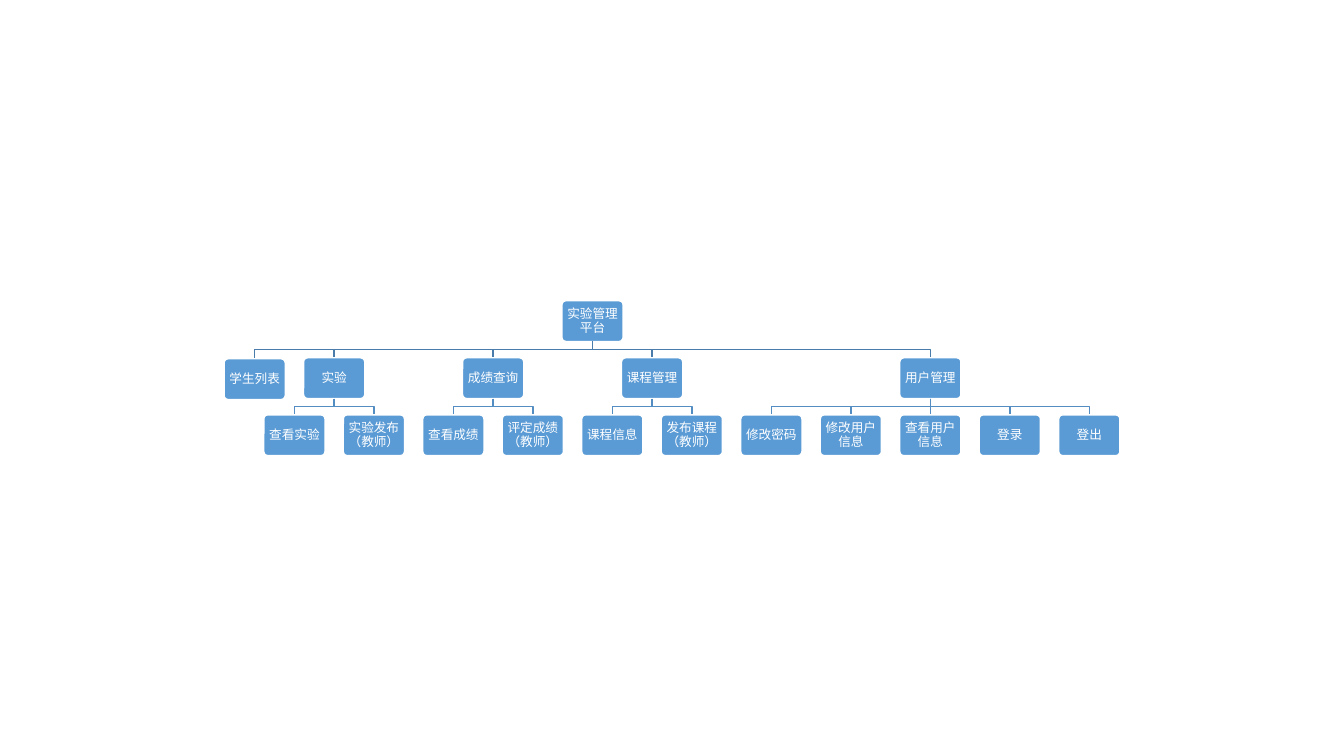
from lxml.etree import SubElement
from pptx import Presentation
from pptx.dml.color import RGBColor
from pptx.enum.shapes import MSO_CONNECTOR as Connector, MSO_SHAPE as Preset
from pptx.enum.text import MSO_ANCHOR as Anchor, PP_ALIGN as Align
from pptx.oxml.ns import qn
from pptx.util import Pt

PLATFORM = "实验管理平台"
BRANCHES = [
    ("学生列表", []),
    ("实验", ["查看实验", "实验发布（教师）"]),
    ("成绩查询", ["查看成绩", "评定成绩（教师）"]),
    ("课程管理", ["课程信息", "发布课程（教师）"]),
    ("用户管理", ["修改密码", "修改用户信息", "查看用户信息", "登录", "登出"]),
]

THEME = {
    "font": "Calibri",
    "size": Pt(9),
    "text": RGBColor.from_string("FFFFFF"),
    "box": RGBColor.from_string("5B9BD5"),
    "border": RGBColor.from_string("FFFFFF"),
    "branch_line": RGBColor.from_string("497CAB"),
    "leaf_line": RGBColor.from_string("538DC1"),
    "line_width": Pt(1),
}
SLIDE_WIDTH, SLIDE_HEIGHT = 960, 540
BOX_WIDTH, BOX_HEIGHT = 43.68, 29.1
SLOT_PITCH, LEVEL_PITCH = 56.78, 40.77
FIRST_CENTER, FIRST_TOP = 181.9, 214.8
CHILDLESS_DROP = 0.7
FRAME_FORMAT = {
    "word_wrap": True,
    "vertical_anchor": Anchor.MIDDLE,
    **{f"margin_{side}": Pt(2.7) for side in ("left", "right", "top", "bottom")},
}
PARAGRAPH_FORMAT = {"alignment": Align.CENTER, "line_spacing": 0.9}
FONT_FORMAT = {"name": THEME["font"], "size": THEME["size"]}


def apply_format(target, values):
    """Set every attribute named in a dict of format values."""
    for name, value in values.items():
        setattr(target, name, value)


def style_line(line, color):
    """Give a line its colour and the common width."""
    line.color.rgb = color
    line.width = THEME["line_width"]


def place(slot, level, drop=0):
    """Turn a slot and a level into the centre and top of a box."""
    return FIRST_CENTER + slot * SLOT_PITCH, FIRST_TOP + level * LEVEL_PITCH + drop


def add_box(slide, label, position):
    """Draw one labelled rounded box."""
    center, top = position
    shape = slide.shapes.add_shape(
        Preset.ROUNDED_RECTANGLE,
        Pt(center - BOX_WIDTH / 2), Pt(top), Pt(BOX_WIDTH), Pt(BOX_HEIGHT))
    shape.adjustments[0] = 0.1
    shape.shadow.inherit = False
    shape.fill.solid()
    shape.fill.fore_color.rgb = THEME["box"]
    style_line(shape.line, THEME["border"])
    apply_format(shape.text_frame, FRAME_FORMAT)
    paragraph = shape.text_frame.paragraphs[0]
    apply_format(paragraph, PARAGRAPH_FORMAT)
    run = paragraph.add_run()
    run.text = label
    apply_format(run.font, FONT_FORMAT)
    run.font.color.rgb = THEME["text"]


def add_link(slide, parent, child, color):
    """Draw the line from the foot of a parent box to the top of its child."""
    start_x, start_y = parent[0], parent[1] + BOX_HEIGHT
    end_x, end_y = child
    if abs(start_x - end_x) < 0.01:
        link = slide.shapes.add_connector(
            Connector.STRAIGHT, Pt(start_x), Pt(start_y), Pt(end_x), Pt(end_y))
        SubElement(link._element.spPr, qn("a:effectLst"))
    else:
        bend_y = start_y + (LEVEL_PITCH - BOX_HEIGHT) / 2
        outline = slide.shapes.build_freeform(Pt(start_x), Pt(start_y))
        corners = [(start_x, bend_y), (end_x, bend_y), (end_x, end_y)]
        outline.add_line_segments([(Pt(x), Pt(y)) for x, y in corners], close=False)
        link = outline.convert_to_shape()
        link.shadow.inherit = False
        link.fill.background()
    style_line(link.line, color)


def lay_out(branches):
    """Give each branch its slot, its drop and the slots of its leaves."""
    next_leaf, layout = 0.5, []
    for label, leaves in branches:
        leaf_slots = [next_leaf + index for index in range(len(leaves))]
        if leaves:
            slot, drop = (leaf_slots[0] + leaf_slots[-1]) / 2, 0
        else:
            slot, drop = next_leaf - 0.5, CHILDLESS_DROP
        layout.append((label, slot, drop, list(zip(leaves, leaf_slots))))
        next_leaf += len(leaves)
    return layout


def draw_tree(slide):
    """Draw the platform, its branches and their leaves."""
    layout = lay_out(BRANCHES)
    platform = place((layout[0][1] + layout[-1][1]) / 2, 0)
    add_box(slide, PLATFORM, platform)
    for label, slot, drop, leaves in layout:
        branch = place(slot, 1, drop)
        add_link(slide, platform, branch, THEME["branch_line"])
        add_box(slide, label, branch)
        for leaf_label, leaf_slot in leaves:
            leaf = place(leaf_slot, 2)
            add_link(slide, branch, leaf, THEME["leaf_line"])
            add_box(slide, leaf_label, leaf)


presentation = Presentation()
apply_format(presentation, {"slide_width": Pt(SLIDE_WIDTH), "slide_height": Pt(SLIDE_HEIGHT)})
draw_tree(presentation.slides.add_slide(presentation.slide_layouts[6]))
presentation.save("out.pptx")
